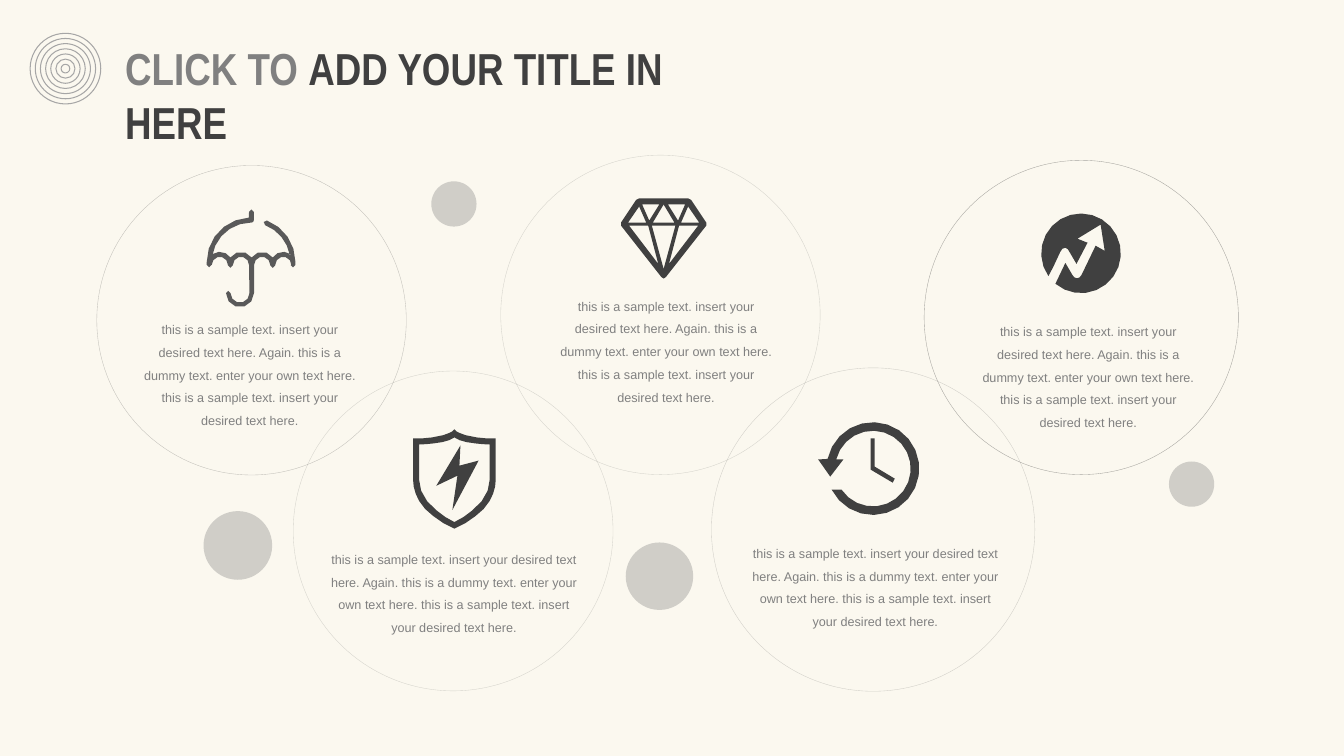
from math import cos, radians, sin

from lxml import etree
from pptx import Presentation
from pptx.dml.color import RGBColor
from pptx.enum.shapes import MSO_SHAPE
from pptx.enum.text import MSO_ANCHOR, MSO_AUTO_SIZE, PP_ALIGN
from pptx.oxml.ns import qn
from pptx.util import Cm, Pt

OVAL = MSO_SHAPE.OVAL
TOP = MSO_ANCHOR.TOP
FIXED = MSO_AUTO_SIZE.NONE
LEFT, CENTER = PP_ALIGN.LEFT, PP_ALIGN.CENTER

CREAM, GREY, DARK, BLACK = "FBF8EF", "808080", "404040", "262626"
SAMPLE = ("this is a sample text. insert your desired text here. Again. "
          "this is a dummy text. enter your own text here. "
          "this is a sample text. insert your desired text here.")


def paint(target, color, alpha=100):
    target.solid()
    target.fore_color.rgb = RGBColor.from_string(color)
    if alpha < 100:
        for node in target._xPr.iter(qn("a:srgbClr")):
            etree.SubElement(node, qn("a:alpha"), val=str(alpha * 1000))


def write(box, runs, size, font="Arial", bold=False, align=CENTER, space=1.0):
    frame = box.text_frame
    frame.word_wrap = True
    frame.auto_size = FIXED
    frame.vertical_anchor = TOP
    para = frame.paragraphs[0]
    para.alignment = align
    para.line_spacing = space
    for text, color in runs:
        run = para.add_run()
        run.text = text
        run.font.name = font
        run.font.size = Pt(size)
        run.font.bold = bold
        run.font.color.rgb = RGBColor.from_string(color)


def disc(slide, left, top, size, fill=None, line=None, alpha=100, width=0):
    shape = slide.shapes.add_shape(OVAL, Cm(left), Cm(top), Cm(size), Cm(size))
    shape.shadow.inherit = False
    if fill:
        paint(shape.fill, fill, alpha)
    else:
        shape.fill.background()
    if line:
        shape.line.width = Pt(width)
        paint(shape.line.fill, line, alpha)
    else:
        shape.line.fill.background()


def icon(slide, left, top, paths, color):
    fine = [[(x * 100, y * 100) for x, y in path] for path in paths]
    pen = slide.shapes.build_freeform(*fine[0][0], scale=Cm(2.54) / 10000)
    pen.add_line_segments(fine[0][1:], close=True)
    for path in fine[1:]:
        pen.move_to(*path[0])
        pen.add_line_segments(path[1:], close=True)
    shape = pen.convert_to_shape(Cm(left), Cm(top))
    shape.shadow.inherit = False
    paint(shape.fill, color)
    shape.line.fill.background()


def arc(x, y, r, start, end):
    step = 16 if r > 20 else 36 if r > 5 else 90
    count = max(2, round(abs(end - start) / step))
    turns = [radians(start + (end - start) * n / count) for n in range(count + 1)]
    return [(x + r * cos(t), y + r * sin(t)) for t in turns]


def bend(a, b, c, d):
    points = []
    for t in (0, 0.33, 0.67, 1):
        u = 1 - t
        points.append(tuple(u**3 * p + 3 * u * u * t * q + 3 * u * t * t * r + t**3 * s
                            for p, q, r, s in zip(a, b, c, d)))
    return points


def mirror(path, axis):
    return [(2 * axis - x, y) for x, y in reversed(path)]


def umbrella():
    path = arc(44, 52, 44, -69, 0) + arc(85.6, 55, 2.4, 0, 180)
    path += arc(76, 55, 8, 0, -180) + arc(65.5, 55.5, 2.4, 0, 180)
    path += arc(55, 55, 8, 0, -180)
    path += arc(33, 83, 13.9, 0, 180) + arc(21.4, 83, 2.3, 180, 360)
    path += arc(33, 83, 9.4, 180, 0)
    path += arc(34, 55, 8, 0, -180) + arc(23.5, 55.5, 2.4, 0, 180)
    path += arc(13, 55, 8, 0, -180) + arc(2.4, 55, 2.4, 0, 180)
    path += arc(44, 52, 44, 180, 267) + arc(44.4, 2.4, 2.4, 180, 360)
    path += arc(44.4, 10.6, 2.4, 0, 90) + arc(44, 52, 39, 270, 188)
    for x, start, end in ((13, -125, -33), (34, -147, -33),
                          (55, -147, -33), (76, -147, -55)):
        path += arc(x, 55, 13, start, end)
    path += arc(44, 52, 39, -10, -69) + arc(58.9, 13.3, 2.5, 111, 291)
    return [path]


def shield():
    outer = [(41, 0)] + bend((39, 2), (37, 3), (33, 6), (19, 8))
    outer += [(9, 9), (0, 9)]
    outer += bend((0, 50), (0, 57), (2, 64), (6, 71))
    outer += [(12, 79), (20, 86), (30, 93), (41, 98.5)]
    inner = bend((41, 8), (37, 11), (30, 13), (20, 14))
    inner += [(13, 14.7), (6, 15)]
    inner += bend((6, 50), (6, 61), (12, 72), (24, 81))
    inner += [(32, 87), (41, 92)]
    bolt = [(47, 16), (23, 56), (44, 46), (39, 80), (65, 31), (46, 36)]
    return [outer + mirror(outer, 41), inner + mirror(inner, 41), bolt]


def diamond():
    mid = 42.3
    half = [(18, 0), (15, 1.5), (0, 24), (0, 27), (40, 78), (mid, 79.5)]
    facets = [[(28, 22), (21, 6), (38, 6)],
              [(37, 65), (8, 27), (27, 27)],
              [(18, 8), (25, 24), (7, 24)]]
    return ([half + mirror(half, mid),
             [(54, 27), (mid, 70), (30.6, 27)],
             [(31.6, 24), (mid, 6), (53, 24)]]
            + facets + [mirror(facet, mid) for facet in facets])


def clock():
    ring = arc(54.3, 46, 46, 192, 513) + arc(54.3, 46, 37.5, 506, 194)
    head = [(25, 37), (12, 54), (0, 37)]
    hands = [(52, 16), (52, 47), (74, 60), (76, 56), (56, 44), (56, 16)]
    return [ring + head, hands]


def growth():
    rim = arc(39.5, 39.5, 39.5, 145, 490)
    arrow = [(24, 49), (31, 61), (33, 63.5), (35.5, 64.3), (38, 63.5), (40, 61),
             (54, 32), (63, 37), (59, 11), (36, 25), (46, 29), (35, 50),
             (28, 38), (26.5, 35.5), (24, 34), (21, 35), (19, 38), (12, 53)]
    return [rim + arrow]


def main():
    deck = Presentation()
    deck.slide_width, deck.slide_height = Cm(33.87), Cm(19.05)
    slide = deck.slides.add_slide(deck.slide_layouts[5])
    paint(slide.background.fill, CREAM)

    for n in range(7):
        size = 1.78 - 0.26 * n
        disc(slide, 1.65 - size / 2, 1.73 - size / 2, size, CREAM, "A6A6A6")

    for left, top, size in ((10.87, 4.57, 1.14), (29.46, 11.63, 1.14),
                            (15.77, 13.67, 1.7), (5.13, 12.88, 1.73)):
        disc(slide, left, top, size, GREY, alpha=35)

    topics = (
        ((2.44, 4.17, 7.8), DARK, 30, (5.21, 5.28), umbrella, "595959", (3.3, 7.8, 5.99)),
        ((7.39, 9.35, 8.06), DARK, 20, (10.41, 10.82), shield, DARK, (8, 13.59, 6.88)),
        ((12.62, 3.91, 8.05), DARK, 20, (15.65, 5), diamond, DARK, (13.79, 7.21, 5.99)),
        ((17.93, 9.27, 8.15), BLACK, 20, (20.62, 10.64), clock, DARK, (18.62, 13.44, 6.88)),
        ((23.29, 4.04, 7.92), BLACK, 40, (26.24, 5.38), growth, DARK, (24.43, 7.85, 5.99)),
    )
    for ring, edge, alpha, spot, draw, color, (left, top, width) in topics:
        disc(slide, *ring, line=edge, alpha=alpha, width=0.25)
        icon(slide, *spot, draw(), color)
        box = slide.shapes.add_textbox(Cm(left), Cm(top), Cm(width), Cm(3.15))
        write(box, [(SAMPLE, GREY)], 9, space=1.5)

    title = slide.shapes.title
    title.left, title.top = Cm(2.9), Cm(0.91)
    title.width, title.height = Cm(14.15), Cm(1.63)
    write(title, [("CLICK TO ", GREY), ("ADD YOUR TITLE IN HERE", DARK)], 32,
          font="Arial Narrow", bold=True, align=LEFT)
    deck.save("out.pptx")


if __name__ == "__main__":
    main()
